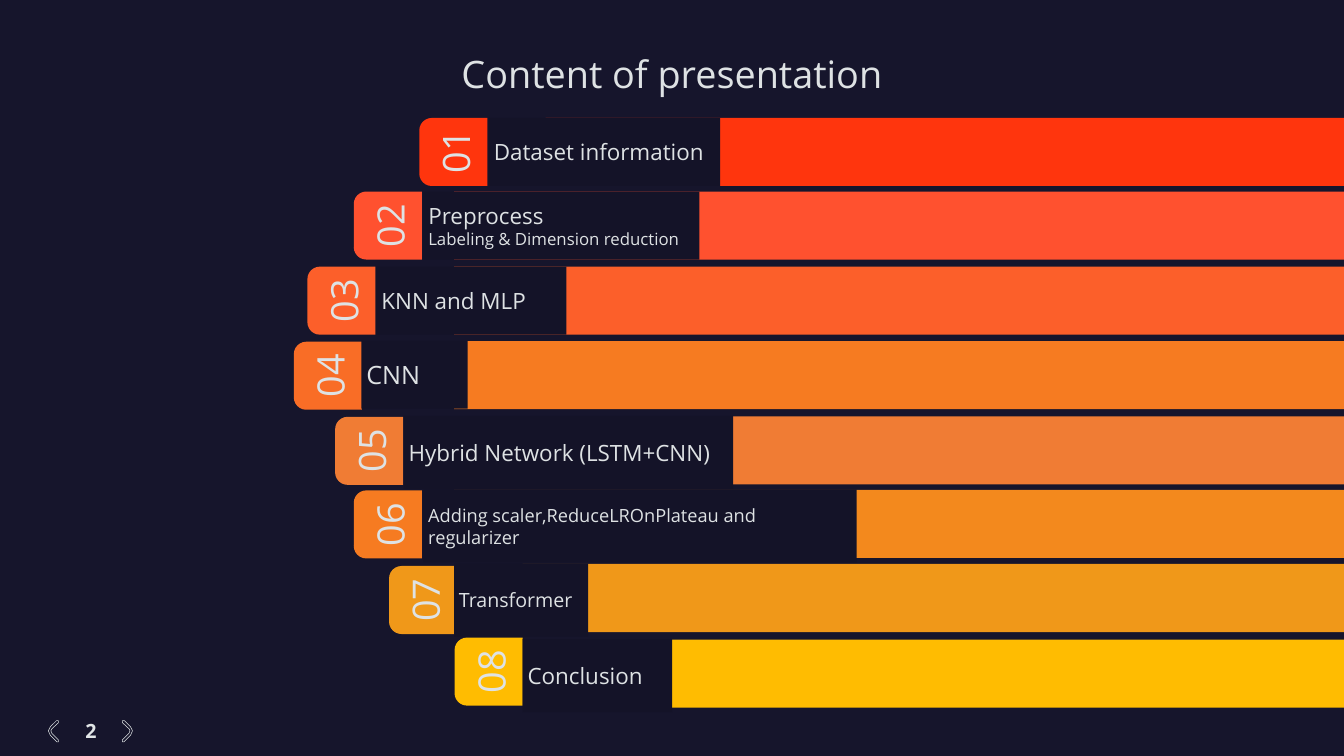
import pptx
import pptx.util
import pptx.dml.color
import pptx.enum.shapes
import pptx.enum.text

Inches = pptx.util.Inches
SHAPES = pptx.enum.shapes.MSO_SHAPE
ALIGN = pptx.enum.text.PP_ALIGN
ANCHOR = pptx.enum.text.MSO_ANCHOR

SLIDE_WIDTH = 26.67
ROW_HEIGHT = 1.35
LIGHT = "DEE2E4"
LABEL_FILL = "141328"


def color(hex_string):
    return pptx.dml.color.RGBColor.from_string(hex_string)


def add_block(kind, left, top, width, height, fill, lines=(), align=ALIGN.LEFT):
    """Add a borderless block; lines holds (text, size) pairs, one per paragraph."""
    block = slide.shapes.add_shape(
        kind, Inches(left), Inches(top), Inches(width), Inches(height))
    block.shadow.inherit = False
    block.fill.solid()
    block.fill.fore_color.rgb = color(fill)
    block.line.fill.background()
    frame = block.text_frame
    frame.word_wrap = True
    frame.vertical_anchor = ANCHOR.MIDDLE
    for i, (text, size) in enumerate(lines):
        paragraph = frame.add_paragraph() if i else frame.paragraphs[0]
        paragraph.alignment = align
        run = paragraph.add_run()
        run.text = text
        run.font.size = pptx.util.Pt(size)
        run.font.name = "Open Sans"
        run.font.color.rgb = color(LIGHT)
    return block


prs = pptx.Presentation()
prs.slide_width = Inches(SLIDE_WIDTH)
prs.slide_height = Inches(15)
slide = prs.slides.add_slide(prs.slide_layouts[5])
slide.background.fill.solid()
slide.background.fill.fore_color.rgb = color("16152C")

# Title
title = slide.shapes.title
title.left, title.top = Inches(7.82), Inches(0.95)
title.width, title.height = Inches(11.03), Inches(1.01)
title.text_frame.vertical_anchor = ANCHOR.TOP
title.text_frame.auto_size = pptx.enum.text.MSO_AUTO_SIZE.NONE
title_line = title.text_frame.paragraphs[0]
title_line.alignment = ALIGN.CENTER
title_run = title_line.add_run()
title_run.text = "Content of presentation"
title_run.font.size = pptx.util.Pt(54)
title_run.font.name = "Open Sans"
title_run.font.color.rgb = color(LIGHT)

# Agenda: tab (left, top, fill), bar (left, top, fill),
# label (left, top, width, height), label lines
agenda = [
    ((8.32, 2.34, "FF350D"), (10.83, 2.34, "FF350D"), (9.7, 2.34, 4.59, 1.35),
     [("Dataset information", 32)]),
    ((7.02, 3.8, "FF512F"), (9.01, 3.8, "FF512F"), (8.4, 3.8, 5.48, 1.35),
     [("Preprocess", 32), ("Labeling & Dimension reduction", 24)]),
    ((6.1, 5.29, "FC5F2A"), (9.01, 5.29, "FC5F2A"), (7.47, 5.29, 3.77, 1.35),
     [("KNN and MLP", 32)]),
    ((5.83, 6.78, "F96D26"), (9.01, 6.77, "F67B21"), (7.17, 6.76, 2.11, 1.35),
     [("CNN", 36)]),
    ((6.65, 8.27, "F07C34"), (9.01, 8.26, "F07C34"), (8.01, 8.25, 6.54, 1.45),
     [("Hybrid Network (LSTM+CNN)", 32)]),
    ((7.02, 9.73, "F67B21"), (9.01, 9.72, "F3891D"), (8.4, 9.71, 8.6, 1.45),
     [("Adding scaler,ReduceLROnPlateau and regularizer", 26)]),
    ((7.72, 11.23, "F09819"), (10.37, 11.19, "F09819"), (9.01, 11.18, 2.66, 1.45),
     [("Transformer", 28)]),
    ((9.02, 12.65, "FFBC01"), (12.04, 12.69, "FFBC01"), (10.37, 12.68, 2.97, 1.45),
     [("Conclusion", 32)]),
]
for number, (tab, bar, label, lines) in enumerate(agenda, start=1):
    bar_left, bar_top, bar_fill = bar
    add_block(SHAPES.RECTANGLE, bar_left, bar_top,
              SLIDE_WIDTH - bar_left, ROW_HEIGHT, bar_fill)

    tab_left, tab_top, tab_fill = tab
    number_tab = add_block(SHAPES.ROUND_2_SAME_RECTANGLE, tab_left, tab_top,
                           ROW_HEIGHT, ROW_HEIGHT, tab_fill,
                           [(f"{number:02d}", 54)], ALIGN.CENTER)
    number_tab.rotation = 270
    number_tab.adjustments[0] = 0.183
    number_tab.adjustments[1] = 0

    add_block(SHAPES.RECTANGLE, *label, LABEL_FILL, lines)

# Page arrows: one chevron outline, mirrored for the right side
chevron = [(0, 0.21), (0.04, 0.13), (0.16, 0.01), (0.2, 0.01), (0.2, 0.05),
           (0.07, 0.17), (0.05, 0.21), (0.07, 0.26), (0.2, 0.39),
           (0.2, 0.43), (0.17, 0.43), (0.04, 0.3)]
for tip, direction in ((0.96, 1), (2.63, -1)):
    points = [(Inches(tip + direction * x), Inches(14.29 + y)) for x, y in chevron]
    outline = slide.shapes.build_freeform(*points[0])
    outline.add_line_segments(points[1:], close=True)
    page_arrow = outline.convert_to_shape()
    page_arrow.shadow.inherit = False
    page_arrow.fill.background()
    page_arrow.line.color.rgb = color(LIGHT)
    page_arrow.line.width = pptx.util.Pt(0.75)

# Page number
page_number = slide.shapes.add_textbox(
    Inches(1.37), Inches(13.48), Inches(0.87), Inches(2.05))
page_number.text_frame.word_wrap = False
page_number.text_frame.vertical_anchor = ANCHOR.MIDDLE
page_line = page_number.text_frame.paragraphs[0]
page_line.alignment = ALIGN.CENTER
page_run = page_line.add_run()
page_run.text = "2"
page_run.font.size = pptx.util.Pt(28)
page_run.font.name = "Open Sans"
page_run.font.bold = True
page_run.font.color.rgb = color("E1E5E7")

prs.save("out.pptx")
